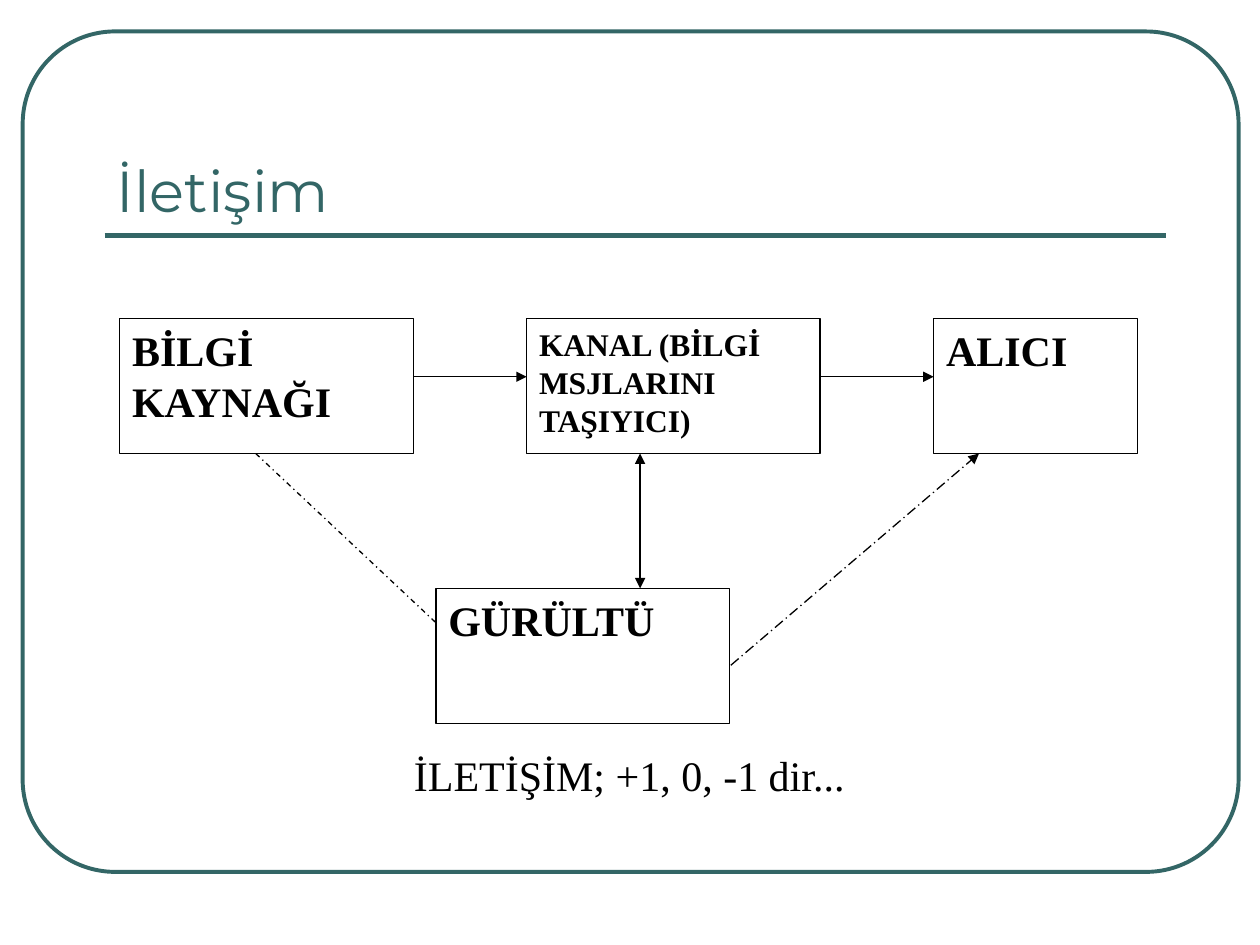
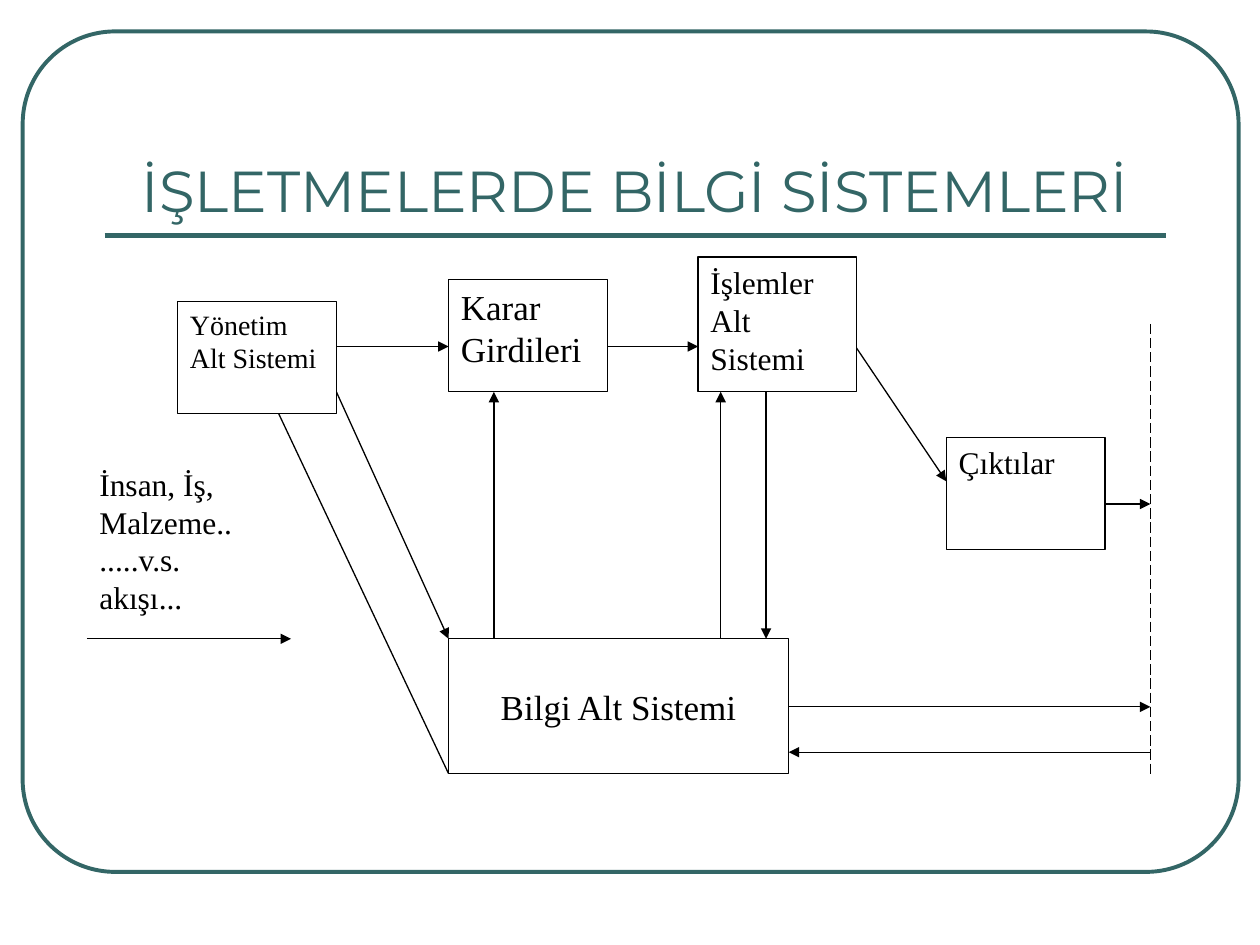
from pptx import Presentation
from pptx.dml.color import RGBColor
from pptx.enum.dml import MSO_LINE_DASH_STYLE as Dash
from pptx.enum.shapes import MSO_CONNECTOR as Connector, MSO_SHAPE as Shape
from pptx.enum.text import MSO_ANCHOR as Anchor, PP_ALIGN as Align
from pptx.oxml.ns import qn
from pptx.util import Inches, Pt
from lxml.etree import SubElement

TEAL, BLACK, WHITE = "336666", "000000", "FFFFFF"
TITLE_FONT, BODY_FONT = "Montserrat", "Times New Roman"


def color(value):
    """Turn a hex string into a colour."""
    return RGBColor.from_string(value)


def write(shape, text, size=18, font=BODY_FONT, ink=BLACK, bold=False,
          align=Align.LEFT, anchor=Anchor.TOP):
    """Write text into a shape, one paragraph for each line."""
    frame = shape.text_frame
    frame.word_wrap = True
    frame.vertical_anchor = anchor
    frame.margin_left = frame.margin_right = Inches(0.1)
    frame.margin_top = frame.margin_bottom = Inches(0.05)
    for index, words in enumerate(text.split("\n")):
        para = frame.add_paragraph() if index else frame.paragraphs[0]
        para.alignment = align
        span = para.add_run()
        span.text = words
        span.font.size = Pt(size)
        span.font.name = font
        span.font.bold = bold
        span.font.color.rgb = color(ink)


def add_box(page, left, top, width, height, text, border=BLACK, **style):
    """Add a white box with a thin border and a label."""
    box = page.shapes.add_shape(Shape.RECTANGLE, Inches(left), Inches(top),
                                Inches(width), Inches(height))
    box.shadow.inherit = False
    box.fill.solid()
    box.fill.fore_color.rgb = color(WHITE)
    box.line.color.rgb = color(border)
    box.line.width = Pt(0.75)
    write(box, text, **style)


def add_line(page, start, end, ink=BLACK, width=0.75, dash=None, ends=()):
    """Add a straight line with arrowheads at the named ends."""
    line = page.shapes.add_connector(Connector.STRAIGHT,
                                     *map(Inches, (*start, *end)))
    line.line.color.rgb = color(ink)
    line.line.width = Pt(width)
    if dash:
        line.line.dash_style = dash
    properties = line._element.spPr
    for name in ends:
        SubElement(properties.find(qn("a:ln")), qn(f"a:{name}"), type="triangle")
    SubElement(properties, qn("a:effectLst"))


def add_arrow(page, start, end, dash=None):
    """Add a line with an arrowhead at its end."""
    add_line(page, start, end, dash=dash, ends=("tailEnd",))


def add_page(deck, title, align=Align.LEFT):
    """Add a slide with the rounded frame, the title and its rule."""
    page = deck.slides.add_slide(deck.slide_layouts[6])
    frame = page.shapes.add_shape(Shape.ROUNDED_RECTANGLE, Inches(0.18),
                                  Inches(0.25), Inches(9.65), Inches(6.67))
    frame.adjustments[0] = 0.11
    frame.shadow.inherit = False
    frame.fill.background()
    frame.line.color.rgb = color(TEAL)
    frame.line.width = Pt(2.25)
    add_line(page, (0.83, 1.87), (9.25, 1.87), ink=TEAL, width=3)
    heading = page.shapes.add_textbox(Inches(0.83), Inches(0.58),
                                      Inches(8.42), Inches(1.25))
    write(heading, title, size=33, font=TITLE_FONT, ink=TEAL, align=align,
          anchor=Anchor.BOTTOM)
    return page


def build_communication(deck):
    """Draw the communication model with its noise source."""
    page = add_page(deck, "İletişim")
    top, noise_top, height = 2.53, 4.67, 1.07
    bottom = top + height
    for start, end in ((3.28, 4.18), (6.16, 7.41)):
        add_arrow(page, (start, 2.99), (end, 2.99))
    add_line(page, (5.08, bottom), (5.08, noise_top), ends=("headEnd", "tailEnd"))
    add_arrow(page, (5.8, 5.28), (7.77, bottom), dash=Dash.LONG_DASH_DOT)
    add_line(page, (2.03, bottom), (3.82, 5.28), dash=Dash.DASH_DOT)
    for left, box_top, width, text, size in (
        (0.95, top, 2.33, "BİLGİ KAYNAĞI", 24),
        (4.18, top, 2.33, "KANAL (BİLGİ MSJLARINI TAŞIYICI)", 18),
        (3.46, noise_top, 2.33, "GÜRÜLTÜ", 24),
        (7.41, top, 1.62, "ALICI", 24),
    ):
        add_box(page, left, box_top, width, height, text, size=size, bold=True)
    add_box(page, 2.21, 5.9, 5.57, 0.46, "İLETİŞİM; +1, 0, -1 dir...",
            border=WHITE, size=24, align=Align.CENTER)


def build_information_systems(deck):
    """Draw the subsystems of a business and the flows between them."""
    page = add_page(deck, "İŞLETMELERDE BİLGİ SİSTEMLERİ", Align.CENTER)
    flow, upper, info_top, info_bottom = 2.75, 3.11, 5.07, 6.14
    info_left, info_right, boundary = 3.56, 6.26, 9.13
    for start, end in (
        ((2.67, upper), (info_left, info_top)),
        ((3.92, info_top), (3.92, upper)),
        ((2.67, flow), (info_left, flow)),
        ((4.82, flow), (5.54, flow)),
        ((5.72, info_top), (5.72, upper)),
        ((6.08, upper), (6.08, info_top)),
        ((info_left, info_bottom), (2.13, upper)),
        ((info_right, 5.61), (boundary, 5.61)),
        ((boundary, 5.97), (info_right, 5.97)),
        ((6.79, flow), (7.51, 3.82)),
        ((0.69, info_top), (2.31, info_top)),
        ((8.77, 4), (boundary, 4)),
    ):
        add_arrow(page, start, end)
    add_line(page, (boundary, 2.57), (boundary, info_bottom), dash=Dash.LONG_DASH)
    for left, top, height, text, size, border in (
        (0.69, 3.64, 1.25, "İnsan, İş, Malzeme.......v.s. akışı...", 18, WHITE),
        (1.41, 2.39, 0.89, "Yönetim\nAlt Sistemi", 16, BLACK),
        (3.56, 2.22, 0.89, "Karar Girdileri", 20, BLACK),
        (5.54, 2.04, 1.07, "İşlemler Alt Sistemi", 18, BLACK),
        (7.51, 3.47, 0.89, "Çıktılar", 18, BLACK),
    ):
        add_box(page, left, top, 1.26, height, text, border=border, size=size)
    add_box(page, info_left, info_top, info_right - info_left,
            info_bottom - info_top, "Bilgi Alt Sistemi", size=20,
            align=Align.CENTER, anchor=Anchor.MIDDLE)


def main():
    """Build the two slides and save them."""
    deck = Presentation()
    deck.slide_width, deck.slide_height = Inches(10), Inches(7.5)
    build_communication(deck)
    build_information_systems(deck)
    deck.save("out.pptx")


if __name__ == "__main__":
    main()
